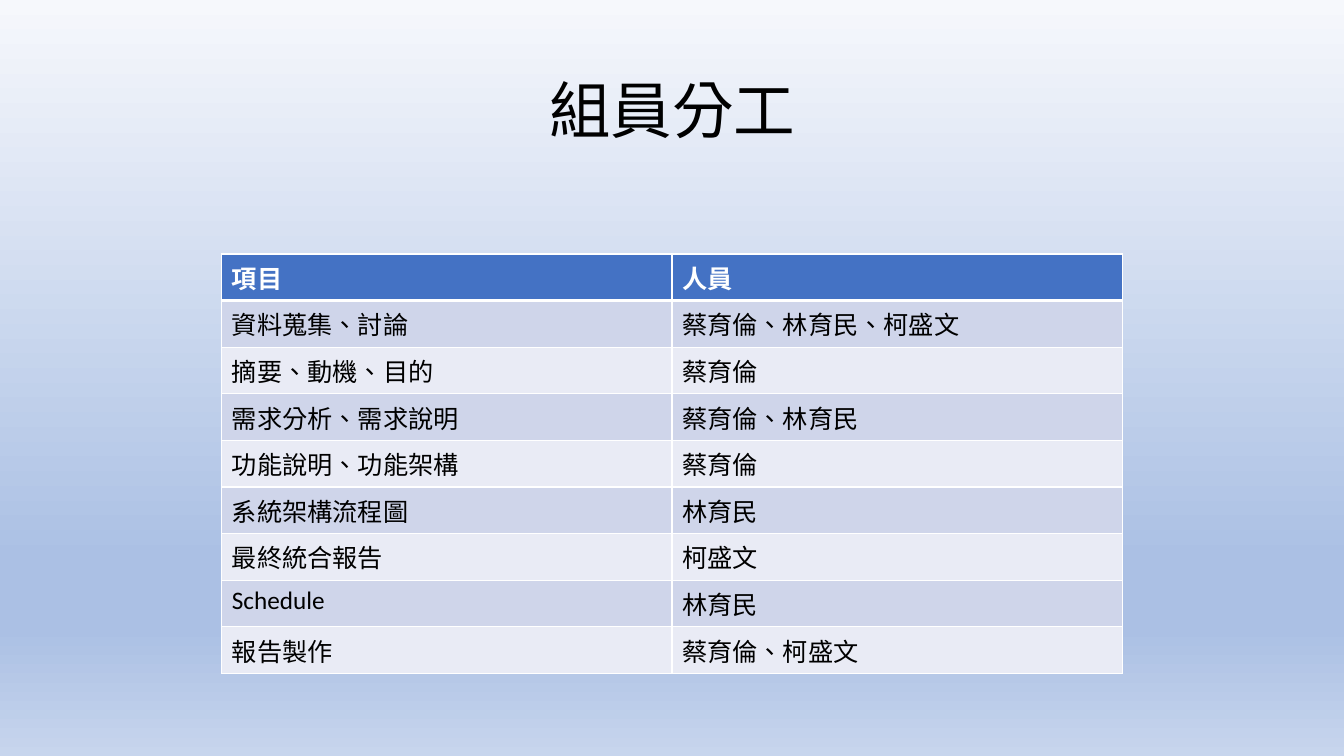
from lxml.etree import SubElement
from pptx import Presentation
from pptx.dml.color import RGBColor
from pptx.enum.lang import MSO_LANGUAGE_ID as LANG
from pptx.enum.text import MSO_ANCHOR, PP_ALIGN
from pptx.oxml.ns import qn
from pptx.util import Inches, Pt

FONT = "Calibri"
COLORS = {
    "black": "000000",
    "white": "FFFFFF",
    "header": "4472C4",
    "odd_row": "CFD5EA",
    "even_row": "E9EBF5",
}
BACKGROUND_STOPS = [(0, "F6F8FC"), (74, "ABC0E4"), (83, "ABC0E4"), (100, "C7D5ED")]
DUTIES = [
    ("項目", "人員"),
    ("資料蒐集、討論", "蔡育倫、林育民、柯盛文"),
    ("摘要、動機、目的", "蔡育倫"),
    ("需求分析、需求說明", "蔡育倫、林育民"),
    ("功能說明、功能架構", "蔡育倫"),
    ("系統架構流程圖", "林育民"),
    ("最終統合報告", "柯盛文"),
    ("Schedule", "林育民"),
    ("報告製作", "蔡育倫、柯盛文"),
]


def rgb(name):
    return RGBColor.from_string(COLORS[name])


def set_background(slide):
    """Fill the background with a top-to-bottom gradient."""
    fill = slide.background.fill
    fill.gradient()
    fill.gradient_angle = 270
    stops = next(slide.element.iter(qn("a:gsLst")))
    for old in list(stops):
        stops.remove(old)
    for percent, color in BACKGROUND_STOPS:
        stop = SubElement(stops, qn("a:gs"), pos=str(percent * 1000))
        SubElement(stop, qn("a:srgbClr"), val=color)


def add_run(p, text, size, color, bold=False):
    r = p.add_run()
    r.text = text
    r.font.name = FONT
    r.font.size = Pt(size)
    r.font.bold = bold
    r.font.color.rgb = rgb(color)
    r.font.language_id = LANG.ENGLISH_US if text.isascii() else LANG.TRADITIONAL_CHINESE


def add_title(slide, text):
    box = slide.shapes.add_textbox(Inches(0.92), Inches(0.4), Inches(11.5), Inches(1.45))
    tf = box.text_frame
    tf.word_wrap = True
    tf.vertical_anchor = MSO_ANCHOR.MIDDLE
    p = tf.paragraphs[0]
    p.alignment = PP_ALIGN.CENTER
    p.line_spacing = 0.9
    add_run(p, text, 44, "black")


def set_borders(cell, top, bottom):
    """Draw white cell borders; top and bottom are widths in points."""
    tc_pr = cell._tc.get_or_add_tcPr()
    for tag, width in (("lnL", 1), ("lnR", 1), ("lnT", top), ("lnB", bottom)):
        line = SubElement(tc_pr, qn(f"a:{tag}"), w=str(Pt(width)))
        fill = SubElement(line, qn("a:solidFill"))
        SubElement(fill, qn("a:srgbClr"), val=COLORS["white"])


def add_duty_table(slide, rows):
    height = Inches(4.16)
    table = slide.shapes.add_table(
        len(rows), 2, Inches(2.2), Inches(2.52), Inches(8.93), height
    ).table
    for i, row in enumerate(rows):
        table.rows[i].height = height // len(rows)
        header = i == 0
        fill = "header" if header else "odd_row" if i % 2 else "even_row"
        for j, text in enumerate(row):
            cell = table.cell(i, j)
            set_borders(cell, top=3 if i == 1 else 1, bottom=3 if header else 1)
            cell.fill.solid()
            cell.fill.fore_color.rgb = rgb(fill)
            add_run(cell.text_frame.paragraphs[0], text, 18,
                    "white" if header else "black", bold=header)


def main():
    prs = Presentation()
    prs.slide_width = Inches(13.33)
    prs.slide_height = Inches(7.5)
    slide = prs.slides.add_slide(prs.slide_layouts[6])
    set_background(slide)
    add_title(slide, "組員分工")
    add_duty_table(slide, DUTIES)
    prs.save("out.pptx")


if __name__ == "__main__":
    main()
